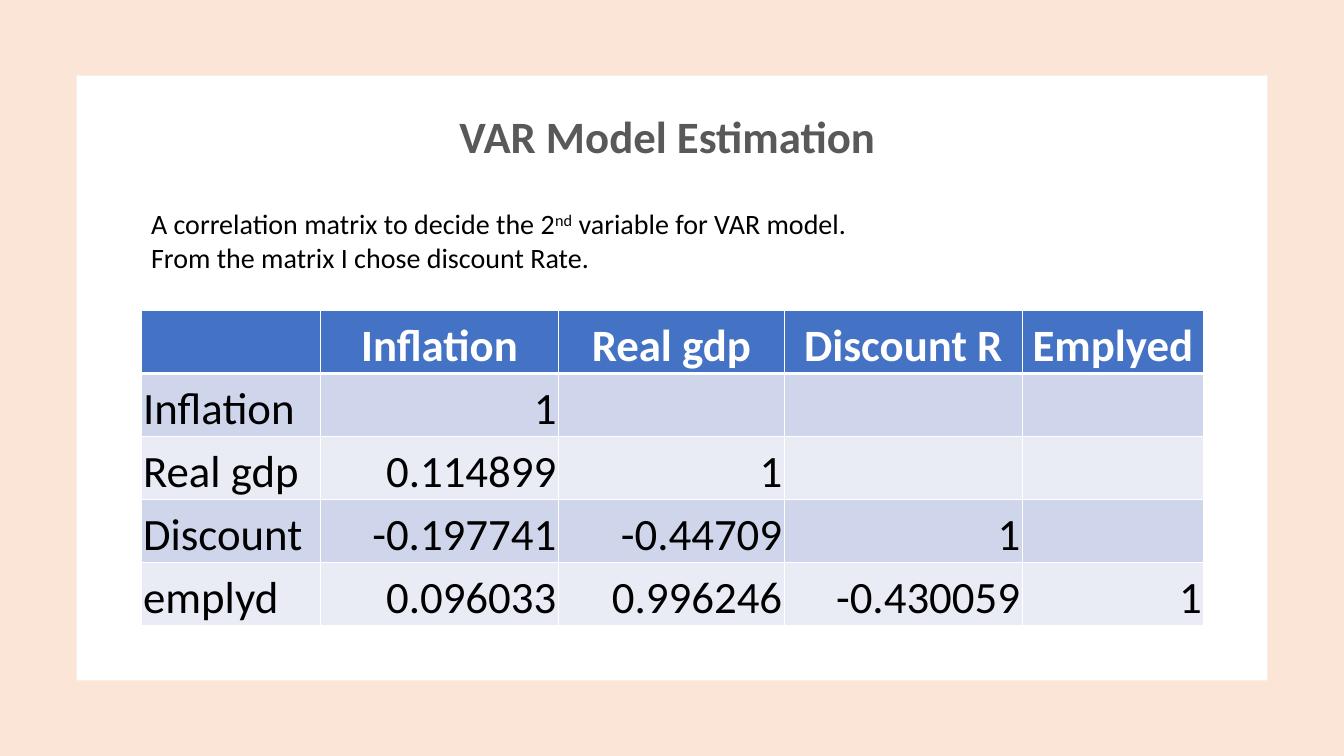
"""Build the VAR model estimation slide with its correlation matrix."""
from lxml.etree import SubElement
from pptx import Presentation
from pptx.dml.color import RGBColor
from pptx.enum.shapes import MSO_SHAPE
from pptx.enum.text import MSO_ANCHOR, MSO_AUTO_SIZE, PP_ALIGN
from pptx.oxml.ns import qn
from pptx.util import Inches, Pt

PEACH = RGBColor(0xFB, 0xE5, 0xD6)
WHITE = RGBColor(0xFF, 0xFF, 0xFF)
BLACK = RGBColor(0x00, 0x00, 0x00)
GRAY = RGBColor(0x59, 0x59, 0x59)
BLUE = RGBColor(0x44, 0x72, 0xC4)
DARK_BAND = RGBColor(0xCF, 0xD5, 0xEA)
LIGHT_BAND = RGBColor(0xE9, 0xEB, 0xF5)


def add_span(para, text, size, color, bold=False):
    span = para.add_run()
    span.text = text
    for name, value in {"name": "Calibri", "size": Pt(size), "bold": bold}.items():
        setattr(span.font, name, value)
    span.font.color.rgb = color
    return span


def add_border(cell, side, points):
    line = SubElement(cell._tc.get_or_add_tcPr(), qn(f"a:ln{side}"), w=str(Pt(points)))
    fill = SubElement(line, qn("a:solidFill"))
    SubElement(fill, qn("a:srgbClr"), val=str(WHITE))


deck = Presentation()
deck.slide_width, deck.slide_height = Inches(13.33), Inches(7.5)
page = deck.slides.add_slide(deck.slide_layouts[6])

for bounds, color in (((0, 0, 13.33, 7.5), PEACH), ((0.76, 0.75, 11.81, 6), WHITE)):
    panel = page.shapes.add_shape(MSO_SHAPE.RECTANGLE, *map(Inches, bounds))
    panel.shadow.inherit = False
    panel.fill.solid()
    panel.fill.fore_color.rgb = color
    panel.line.fill.background()

title = page.shapes.add_textbox(*map(Inches, (1.59, 0.84, 10.16, 1.08))).text_frame
title.word_wrap = True
title.vertical_anchor = MSO_ANCHOR.MIDDLE
heading = title.paragraphs[0]
heading.alignment = PP_ALIGN.CENTER
heading.line_spacing = 0.9
add_span(heading, "VAR Model Estimation ", 32, GRAY, True)

matrix_rows = (
    ("", "Inflation", "Real gdp", "Discount R", "Emplyed"),
    ("Inflation", "1", "", "", ""),
    ("Real gdp", "0.114899", "1", "", ""),
    ("Discount ", "-0.197741", "-0.44709", "1", ""),
    ("emplyd", "0.096033", "0.996246", "-0.430059", "1"),
)
column_widths = (1.78, 2.36, 2.24, 2.36, 1.8)
cell_format = {
    "margin_left": Inches(0.02),
    "margin_right": Inches(0.02),
    "margin_top": Inches(0.02),
    "margin_bottom": 0,
    "vertical_anchor": MSO_ANCHOR.BOTTOM,
}
matrix = page.shapes.add_table(
    len(matrix_rows), len(column_widths), *map(Inches, (1.4, 3.08, 10.53, 3.13))
).table
for column, width in zip(matrix.columns, column_widths):
    column.width = Inches(width)

for row_index, values in enumerate(matrix_rows):
    is_header = row_index == 0
    for column_index, value in enumerate(values):
        cell = matrix.cell(row_index, column_index)
        for name, setting in cell_format.items():
            setattr(cell, name, setting)
        for side in "LRTB":
            at_header_rule = (row_index, side) in ((0, "B"), (1, "T"))
            add_border(cell, side, 3 if at_header_rule else 1)
        cell.fill.solid()
        band = DARK_BAND if row_index % 2 else LIGHT_BAND
        cell.fill.fore_color.rgb = BLUE if is_header else band
        if value:
            para = cell.text_frame.paragraphs[0]
            body_alignment = PP_ALIGN.RIGHT if column_index else PP_ALIGN.LEFT
            para.alignment = PP_ALIGN.CENTER if is_header else body_alignment
            add_span(para, value, 32, WHITE if is_header else BLACK, is_header)

note = page.shapes.add_textbox(*map(Inches, (1.4, 2, 7.25, 0.77))).text_frame
note.word_wrap = False
note.auto_size = MSO_AUTO_SIZE.SHAPE_TO_FIT_TEXT
para = note.paragraphs[0]
add_span(para, "A correlation matrix to decide the 2", 20, BLACK)
ordinal = add_span(para, "nd", 20, BLACK)
ordinal._r.get_or_add_rPr().set("baseline", "30000")
add_span(para, " variable for VAR model. ", 20, BLACK)
para.add_line_break()
add_span(para, "From the matrix I chose discount Rate.", 20, BLACK)

deck.save("out.pptx")
